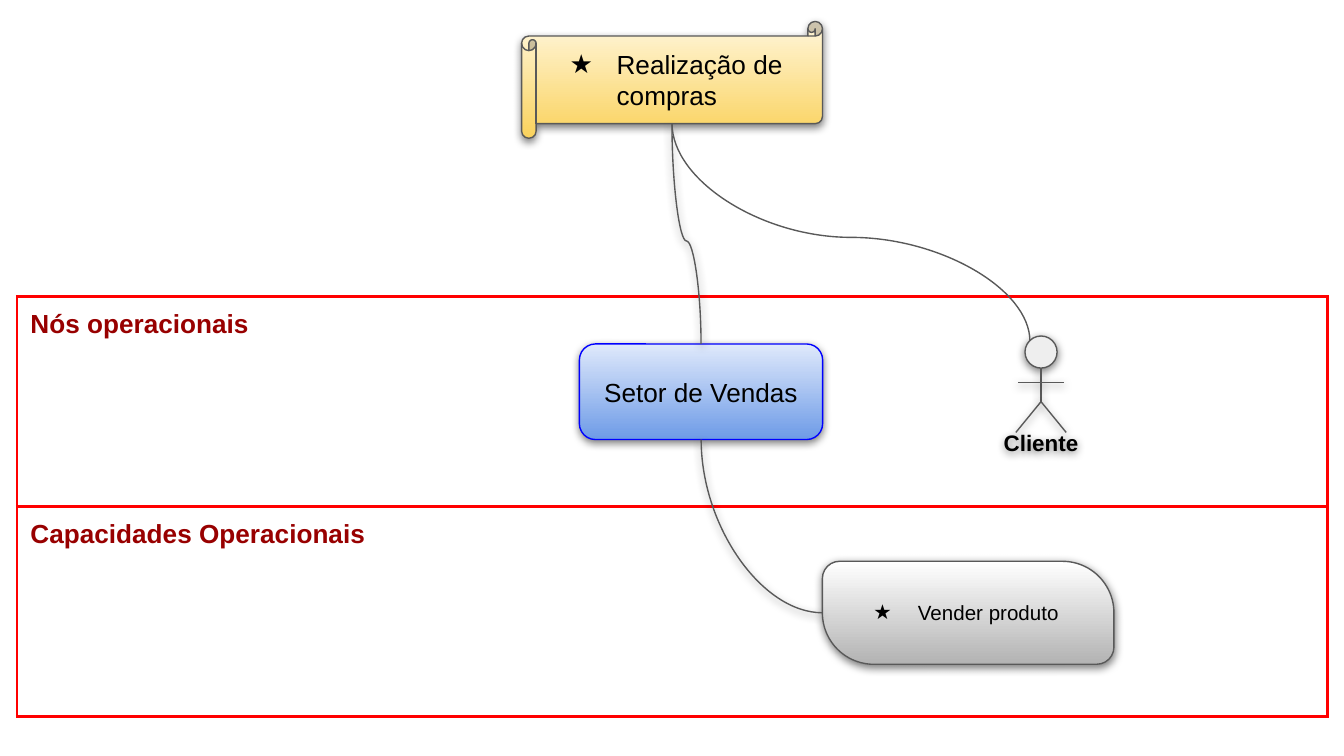
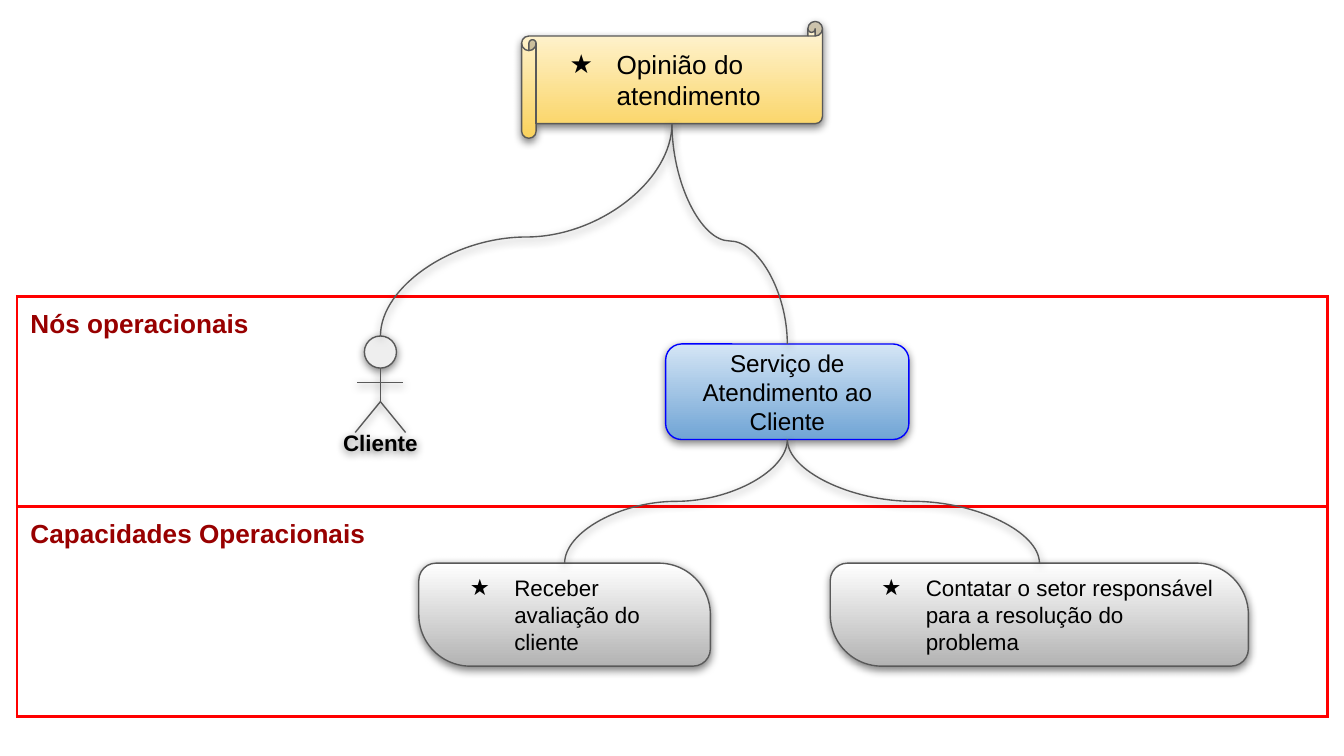
"""Builds two operational diagrams: a need, its operational nodes and their capabilities."""
from dataclasses import dataclass
from typing import Any

from lxml.etree import SubElement
from pptx import Presentation
from pptx.dml.color import RGBColor
from pptx.enum.shapes import MSO_CONNECTOR, MSO_SHAPE
from pptx.enum.text import MSO_ANCHOR, PP_ALIGN
from pptx.oxml.ns import qn
from pptx.util import Pt

COLORS = {
    "black": "000000", "outline": "595959", "node_outline": "0000FF",
    "lane_border": "FF0000", "lane_title": "980000", "head": "EEEEEE",
    "need_top": "FFF6DB", "need_bottom": "FAD25C",
    "sales_top": "DFE9FB", "sales_bottom": "6E9BE7",
    "service_top": "D4E5F5", "service_bottom": "70A4D5",
    "skill_top": "FFFFFF", "skill_bottom": "B3B3B3",
}
FONT = "Arial"
LANES = ("Nós operacionais", "Capacidades Operacionais")
LANE_LEFT, LANE_TOP, LANE_WIDTH, LANE_HEIGHT = 9.1, 158.8, 702, 112.5
MARGINS = {f"margin_{side}": Pt(7.2) for side in ("left", "right", "top", "bottom")}
NEED_EXIT = (360, 66.2)
NODE_TOP, NODE_BOTTOM = 184.3, 235.5


@dataclass(frozen=True)
class Look:
    """Geometry, colours and text layout shared by one kind of box."""

    preset: MSO_SHAPE
    adjustments: tuple[float, ...]
    gradient: tuple[str, str]
    outline: str = "outline"
    hanging: float = 0


@dataclass(frozen=True)
class Box:
    """One labelled box of a diagram, in points."""

    text: str
    look: Look
    left: float
    top: float
    width: float
    height: float
    size: float


@dataclass(frozen=True)
class Link:
    """A curve that leaves its start downwards."""

    start: tuple[float, float]
    end: tuple[float, float]
    bend: float | None = 0.5
    shadow: bool = True


@dataclass(frozen=True)
class Diagram:
    """The content of one slide."""

    boxes: tuple[Box, ...]
    links: tuple[Link, ...]
    client_x: float


NEED = Look(MSO_SHAPE.HORIZONTAL_SCROLL, (0.125,), ("need_top", "need_bottom"), hanging=25.2)
SALES = Look(MSO_SHAPE.ROUNDED_RECTANGLE, (0.167,), ("sales_top", "sales_bottom"), "node_outline")
SERVICE = Look(MSO_SHAPE.ROUNDED_RECTANGLE, (0.167,), ("service_top", "service_bottom"), "node_outline")
SKILL = Look(MSO_SHAPE.ROUND_2_DIAG_RECTANGLE, (0.167, 0.5), ("skill_top", "skill_bottom"), hanging=23.8)


def need(text: str) -> Box:
    """Return the scroll at the top of a diagram."""
    return Box(text, NEED, 279.4, 11.5, 161.2, 62.6, 14)


def node(text: str, look: Look, left: float, size: float) -> Box:
    """Return an operational node in the first lane."""
    return Box(text, look, left, NODE_TOP, 130.3, NODE_BOTTOM - NODE_TOP, size)


def skill(text: str, left: float, top: float, width: float, size: float) -> Box:
    """Return a capability in the second lane."""
    return Box(text, SKILL, left, top, width, 55.2, size)


DIAGRAMS = (
    Diagram(
        (need("Realização de compras"),
         node("Setor de Vendas", SALES, 310.4, 14),
         skill("Vender produto", 440.6, 300.7, 156.2, 11)),
        (Link((375.6, NODE_BOTTOM), (440.6, 328.3), None),
         Link(NEED_EXIT, (375.6, NODE_TOP), 0.533),
         Link(NEED_EXIT, (551.7, 182.8), 0.523, False)),
        557.7,
    ),
    Diagram(
        (need("Opinião do atendimento"),
         node("Serviço de Atendimento ao Cliente", SERVICE, 356.6, 13),
         skill("Receber avaliação do cliente", 224.4, 301.7, 156.2, 12),
         skill("Contatar o setor responsável para a resolução do problema", 444.8, 301.7, 224, 12)),
        (Link(NEED_EXIT, (203.8, 180), 0.534),
         Link(NEED_EXIT, (421.8, NODE_TOP), 0.533),
         Link((421.8, NODE_BOTTOM), (302.5, 301.7)),
         Link((421.8, NODE_BOTTOM), (556.8, 301.7))),
        203.8,
    ),
)


def rgb(name: str) -> RGBColor:
    """Return a named colour."""
    return RGBColor.from_string(COLORS[name])


def apply(target: Any, values: dict[str, Any]) -> None:
    """Set every given attribute on the target."""
    for attribute, value in values.items():
        setattr(target, attribute, value)


def write(frame: Any, text: str, size: float, color: str = "black", bold: bool = False) -> Any:
    """Write one formatted paragraph and return it."""
    paragraph = frame.paragraphs[0]
    run = paragraph.add_run()
    run.text = text
    apply(run.font, {"name": FONT, "size": Pt(size), "bold": bold})
    run.font.color.rgb = rgb(color)
    return paragraph


def add_color(parent: Any, name: str) -> Any:
    """Append an RGB colour element."""
    return SubElement(parent, qn("a:srgbClr"), val=COLORS[name])


def set_outline(shape: Any, color: str = "outline") -> None:
    """Give a shape or connector the thin outline."""
    shape.line.color.rgb = rgb(color)
    shape.line.width = Pt(0.75)


def set_shadow(shape: Any, visible: bool = True) -> None:
    """Give a shape the soft shadow below it, or none."""
    effects = SubElement(shape.element.spPr, qn("a:effectLst"))
    if visible:
        cast = SubElement(effects, qn("a:outerShdw"), blurRad=str(Pt(4.5)), dist=str(Pt(1.5)),
                          dir="5400000", algn="bl", rotWithShape="0")
        SubElement(add_color(cast, "black"), qn("a:alpha"), val="50000")


def set_star(paragraph: Any, hanging: float) -> None:
    """Turn a paragraph into a star bullet with a hanging indent."""
    properties = paragraph._p.get_or_add_pPr()
    properties.set("marL", str(Pt(36)))
    properties.set("indent", str(-Pt(hanging)))
    add_color(SubElement(properties, qn("a:buClr")), "black")
    SubElement(properties, qn("a:buFont"), typeface=FONT)
    SubElement(properties, qn("a:buChar"), char="★")


def draw_lanes(shapes: Any) -> None:
    """Draw the two titled lanes as a bordered table."""
    table = shapes.add_table(len(LANES), 1, Pt(LANE_LEFT), Pt(LANE_TOP), Pt(LANE_WIDTH),
                             Pt(LANE_HEIGHT * len(LANES))).table
    apply(table, {"first_row": False, "horz_banding": False})
    for cell, title in zip(table.iter_cells(), LANES):
        apply(cell, MARGINS)
        write(cell.text_frame, title, 14, "lane_title", True)
        properties = cell._tc.get_or_add_tcPr()
        for edge in ("a:lnL", "a:lnR", "a:lnT", "a:lnB"):
            border = SubElement(properties, qn(edge), w=str(Pt(1.5)))
            add_color(SubElement(border, qn("a:solidFill")), "lane_border")
        cell.fill.background()


def draw_box(shapes: Any, box: Box) -> None:
    """Draw a gradient box with its text."""
    look = box.look
    shape = shapes.add_shape(look.preset, Pt(box.left), Pt(box.top), Pt(box.width), Pt(box.height))
    for index, value in enumerate(look.adjustments):
        shape.adjustments[index] = value
    shape.fill.gradient()
    shape.fill.gradient_angle = 270
    for stop, color in zip(shape.fill.gradient_stops, look.gradient):
        stop.color.rgb = rgb(color)
    set_outline(shape, look.outline)
    set_shadow(shape)
    apply(shape.text_frame, MARGINS | {"word_wrap": True, "vertical_anchor": MSO_ANCHOR.MIDDLE})
    paragraph = write(shape.text_frame, box.text, box.size)
    paragraph.alignment = PP_ALIGN.LEFT if look.hanging else PP_ALIGN.CENTER
    if look.hanging:
        set_star(paragraph, look.hanging)


def draw_link(shapes: Any, link: Link) -> None:
    """Draw a curve as a horizontal connector turned by a quarter."""
    (x1, y1), (x2, y2) = link.start, link.end
    center_x, center_y = (x1 + x2) / 2, (y1 + y2) / 2
    half_width, half_height = (y2 - y1) / 2, abs(x2 - x1) / 2
    curve = shapes.add_connector(
        MSO_CONNECTOR.CURVE, Pt(center_x - half_width), Pt(center_y - half_height),
        Pt(center_x + half_width), Pt(center_y + half_height))
    properties = curve.element.spPr
    frame = properties.find(qn("a:xfrm"))
    frame.set("rot", "16200000" if x2 > x1 else "5400000")
    if x2 > x1:
        frame.set("flipH", "1")
    geometry = properties.find(qn("a:prstGeom"))
    if link.bend is None:
        geometry.set("prst", "curvedConnector2")
    else:
        guides = geometry.find(qn("a:avLst"))
        SubElement(guides, qn("a:gd"), name="adj1", fmla=f"val {round(link.bend * 100000)}")
    set_outline(curve)
    set_shadow(curve, link.shadow)


def draw_client(shapes: Any, x: float) -> None:
    """Draw the client as a grouped stick figure with a label."""
    figure = shapes.add_group_shape().shapes
    head = figure.add_shape(MSO_SHAPE.FLOWCHART_CONNECTOR, Pt(x - 8.6), Pt(180), Pt(17.2), Pt(17.2))
    head.fill.solid()
    head.fill.fore_color.rgb = rgb("head")
    set_outline(head)
    set_shadow(head)
    hip = (x, 215.2)
    limbs = (((x, 197.2), hip), ((x - 12.3, 205), (x + 12.3, 205)),
             (hip, (x - 13.5, 231.7)), ((x + 13.5, 231.7), hip))
    for start, end in limbs:
        limb = figure.add_connector(MSO_CONNECTOR.STRAIGHT, *map(Pt, start + end))
        set_outline(limb)
        set_shadow(limb)
    label = figure.add_textbox(Pt(x - 44.6), Pt(222.5), Pt(89.2), Pt(30.2))
    set_shadow(label)
    apply(label.text_frame, MARGINS | {"word_wrap": True})
    write(label.text_frame, "Cliente", 12, bold=True).alignment = PP_ALIGN.CENTER


def main() -> None:
    """Build and save the presentation."""
    deck = Presentation()
    apply(deck, {"slide_width": Pt(720), "slide_height": Pt(405)})
    for diagram in DIAGRAMS:
        shapes = deck.slides.add_slide(deck.slide_layouts[6]).shapes
        draw_lanes(shapes)
        for box in diagram.boxes:
            draw_box(shapes, box)
        draw_client(shapes, diagram.client_x)
        for link in diagram.links:
            draw_link(shapes, link)
    deck.save("out.pptx")


main()
